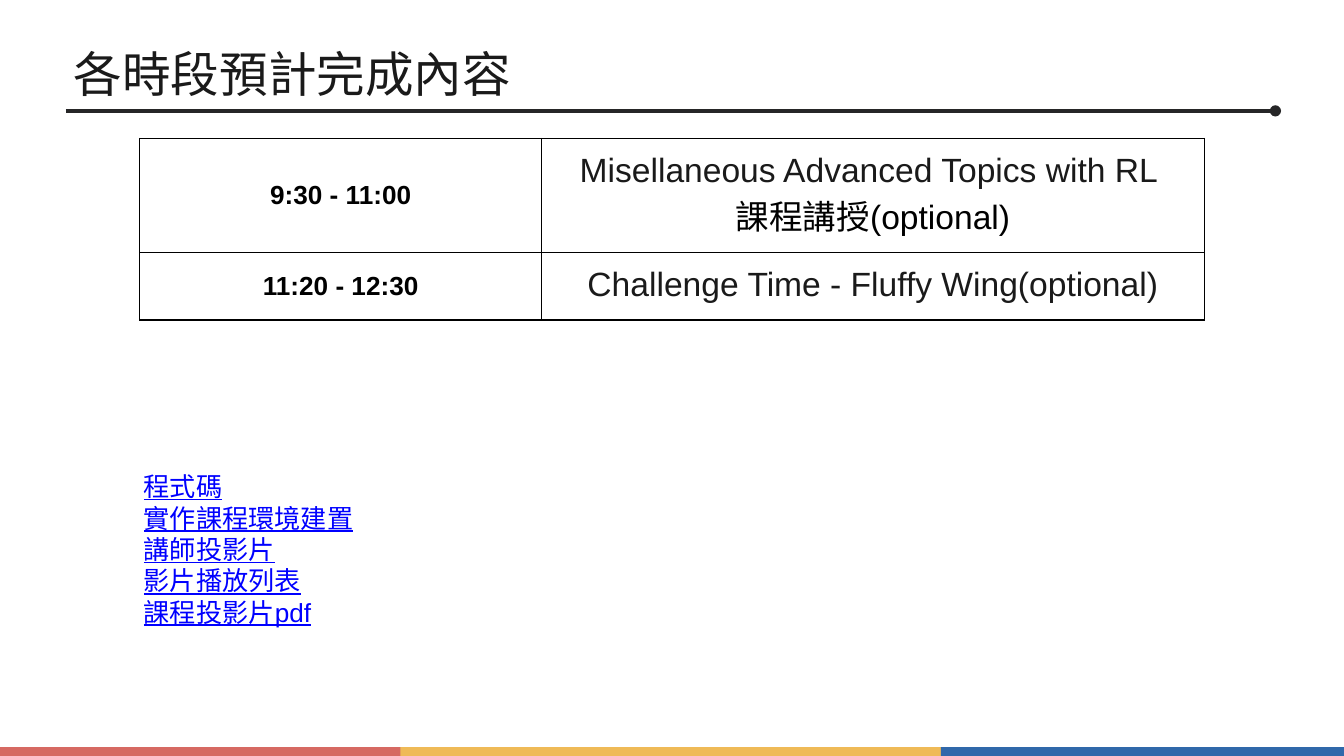
from lxml.etree import SubElement
from pptx import Presentation
from pptx.dml.color import RGBColor
from pptx.enum.shapes import MSO_CONNECTOR, MSO_SHAPE
from pptx.enum.text import MSO_ANCHOR, PP_ALIGN
from pptx.oxml.ns import qn
from pptx.util import Inches, Pt

COLORS = {
    "red": "D66962",
    "yellow": "EFBA57",
    "blue": "3068AA",
    "rule": "262627",
    "title": "1A1A1A",
    "black": "000000",
    "link": "0000FF",
}
COLUMNS, ROWS = 100, 56.25
SCHEDULE = [
    ("9:30 - 11:00", "Misellaneous Advanced Topics with RL \n課程講授(optional)"),
    ("11:20 - 12:30", "Challenge Time - Fluffy Wing(optional)"),
]
LINKS = ["程式碼", "實作課程環境建置", "講師投影片", "影片播放列表", "課程投影片pdf"]


class SlideBuilder:
    """Draws styled elements on one slide, measured in a grid of 100 by 56.25 cells."""

    font_name = "Arial"
    cell = 0.1

    def __init__(self, presentation):
        presentation.slide_width = self.grid(COLUMNS)
        presentation.slide_height = self.grid(ROWS)
        self.slide = presentation.slides.add_slide(presentation.slide_layouts[6])
        self.shapes = self.slide.shapes

    def grid(self, count):
        return Inches(count * self.cell)

    def box(self, *cells):
        return [self.grid(count) for count in cells]

    def color(self, name):
        return RGBColor.from_string(COLORS[name])

    def format_paragraph(self, paragraph, size, color, bold=False, underline=False):
        for run in paragraph.runs:
            font = run.font
            font.name, font.size = self.font_name, Pt(size)
            font.bold, font.underline = bold, underline
            font.color.rgb = self.color(color)
            east_asian = SubElement(run._r.get_or_add_rPr(), qn("a:ea"))
            east_asian.set("typeface", self.font_name)

    def bar(self, left, top, width, height, color):
        shape = self.shapes.add_shape(MSO_SHAPE.RECTANGLE, *self.box(left, top, width, height))
        shape.shadow.inherit = False
        shape.fill.solid()
        shape.fill.fore_color.rgb = self.color(color)
        shape.line.fill.background()

    def rule(self, left, right, top, color):
        connector = self.shapes.add_connector(
            MSO_CONNECTOR.STRAIGHT, *self.box(left, top, right, top)
        )
        connector.line.color.rgb = self.color(color)
        connector.line.width = Pt(2)
        SubElement(connector.line._get_or_add_ln(), qn("a:tailEnd")).set("type", "oval")
        SubElement(connector._element.spPr, qn("a:effectLst"))

    def text(self, left, top, width, height, lines, size, color, underline=False, spacing=None):
        text_box = self.shapes.add_textbox(*self.box(left, top, width, height))
        text_frame = text_box.text_frame
        text_frame.word_wrap = True
        text_frame.vertical_anchor = MSO_ANCHOR.MIDDLE
        text_frame.margin_left = text_frame.margin_right = Inches(0.03)
        text_frame.margin_top = text_frame.margin_bottom = Inches(0.03)
        text_frame.text = "\n".join(lines)
        for paragraph in text_frame.paragraphs:
            if spacing:
                paragraph.line_spacing = Pt(spacing)
            self.format_paragraph(paragraph, size, color, underline=underline)

    def border(self, cell):
        properties = cell._tc.get_or_add_tcPr()
        for position, side in enumerate(("a:lnL", "a:lnR", "a:lnT", "a:lnB")):
            line = properties.makeelement(qn(side), {"w": str(Pt(0.75))})
            fill = SubElement(line, qn("a:solidFill"))
            SubElement(fill, qn("a:srgbClr")).set("val", COLORS["black"])
            properties.insert(position, line)

    def table_cell(self, cell, text, size, colors, bold, anchor):
        cell.margin_left = cell.margin_right = Inches(0.1)
        cell.margin_top = cell.margin_bottom = Inches(0.1)
        cell.vertical_anchor = anchor
        cell.fill.background()
        self.border(cell)
        cell.text_frame.text = text
        for paragraph, color in zip(cell.text_frame.paragraphs, colors):
            paragraph.alignment = PP_ALIGN.CENTER
            self.format_paragraph(paragraph, size, color, bold)

    def schedule(self, left, top, widths, heights, entries):
        frame = self.shapes.add_table(
            len(heights), len(widths), *self.box(left, top, sum(widths), sum(heights))
        )
        table = frame.table
        table.first_row = table.horz_banding = False
        for column, width in zip(table.columns, widths):
            column.width = self.grid(width)
        for row, height, (time, topic) in zip(table.rows, heights, entries):
            row.height = self.grid(height)
            self.table_cell(row.cells[0], time, 14, ["black"], True, MSO_ANCHOR.MIDDLE)
            self.table_cell(row.cells[1], topic, 18, ["title", "black"], False, MSO_ANCHOR.TOP)
            for paragraph in row.cells[1].text_frame.paragraphs[1:]:
                paragraph.line_spacing = Pt(25.2)


def main():
    presentation = Presentation()
    builder = SlideBuilder(presentation)
    for left, width, color in [(-0.2, 30.2, "red"), (29.8, 40.3, "yellow"), (70, 30.2, "blue")]:
        builder.bar(left, 55.6, width, 0.65, color)
    builder.rule(4.9, 94.9, 8.25, "rule")
    builder.text(5.2, 2.3, 64, 6.2, ["各時段預計完成內容"], 26, "title")
    builder.schedule(10.4, 10.3, [29.9, 49.3], [8.4, 4.8], SCHEDULE)
    builder.text(10.4, 34.3, 60.1, 13.1, LINKS, 14, "link", underline=True, spacing=16.8)
    presentation.save("out.pptx")


if __name__ == "__main__":
    main()
